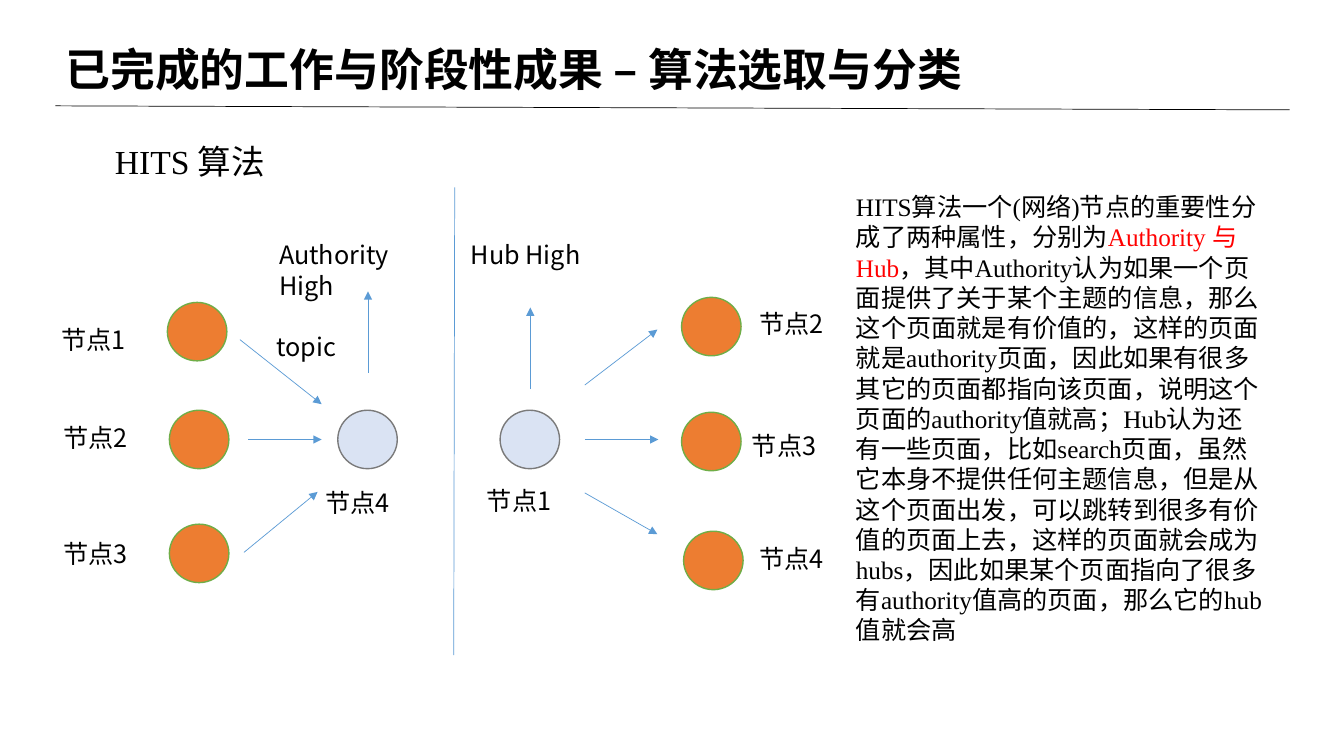
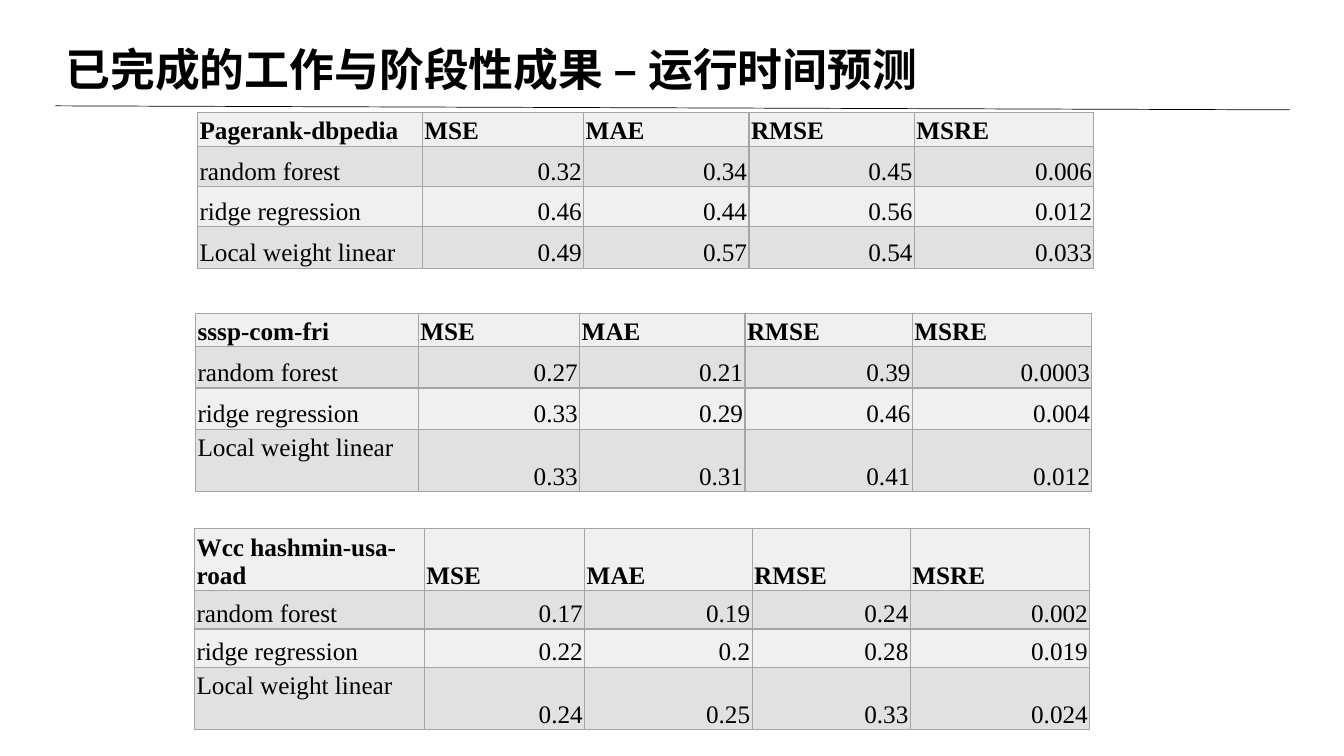
from lxml.etree import SubElement
from pptx import Presentation
from pptx.dml.color import RGBColor
from pptx.enum.shapes import MSO_CONNECTOR, MSO_SHAPE
from pptx.enum.text import MSO_ANCHOR as Anchor, MSO_AUTO_SIZE as AutoSize, PP_ALIGN as Align
from pptx.oxml.ns import qn
from pptx.util import Inches, Pt

BLACK, RED, BLUE = "000000", "FF0000", "5B9BD5"
ORANGE, GREEN, PALE, GRAY = "ED7D31", "70AD47", "DAE3F3", "7A7A7A"
BORDER, BANDS = "A5A5A5", ("F0F0F0", "E1E1E1")
SANS, SERIF = "Noto Sans CJK SC", "Times New Roman"
METRICS = ["MSE", "MAE", "RMSE", "MSRE"]
MODELS = ["random forest", "ridge regression", "Local weight linear"]


def color(value):
    return RGBColor.from_string(value)


class Deck:
    """Holds the shared style and the current slide."""

    def __init__(self):
        self.file = Presentation()
        self.file.slide_width = Inches(13.33)
        self.file.slide_height = Inches(7.5)
        self.page = None

    def add_page(self, title):
        self.page = self.file.slides.add_slide(self.file.slide_layouts[5])
        self.line((0.55, 1.05), (12.79, 1.09), BLACK)
        box = self.page.shapes.title
        box.left, box.top = Inches(0.55), Inches(0.36)
        box.width, box.height = Inches(10.93), Inches(0.64)
        frame = box.text_frame
        frame.auto_size = AutoSize.NONE
        frame.vertical_anchor = Anchor.MIDDLE
        para = frame.paragraphs[0]
        para.alignment = Align.LEFT
        self.span(para, title, 32, SANS, bold=True)

    def span(self, para, text, size, font, ink=BLACK, bold=False):
        span = para.add_run()
        span.text = text
        span.font.size = Pt(size)
        span.font.bold = bold
        span.font.color.rgb = color(ink)
        span.font.name = font
        SubElement(span.font._element, qn("a:ea"), typeface=SANS)

    def text(self, left, top, width, height, spans, size=18, font=SANS):
        box = self.page.shapes.add_textbox(
            Inches(left), Inches(top), Inches(width), Inches(height))
        frame = box.text_frame
        frame.word_wrap = True
        para = frame.paragraphs[0]
        para.line_spacing = Pt(size * 1.2)
        for words, ink in spans:
            self.span(para, words, size, font, ink)

    def label(self, left, top, words, width=0.89):
        self.text(left, top, width, 0.4, [(words, BLACK)])

    def node(self, left, top, fill, edge):
        circle = self.page.shapes.add_shape(
            MSO_SHAPE.OVAL, Inches(left), Inches(top), Inches(0.59), Inches(0.58))
        circle.shadow.inherit = False
        circle.fill.solid()
        circle.fill.fore_color.rgb = color(fill)
        circle.line.color.rgb = color(edge)
        circle.line.width = Pt(1)

    def line(self, start, end, ink=BLUE, arrow=False):
        line = self.page.shapes.add_connector(
            MSO_CONNECTOR.STRAIGHT, *(Inches(value) for value in (*start, *end)))
        line.line.color.rgb = color(ink)
        line.line.width = Pt(0.5)
        if arrow:
            SubElement(line.line._get_or_add_ln(), qn("a:tailEnd"), type="triangle")
        SubElement(line._element.spPr, qn("a:effectLst"))

    def table(self, left, top, widths, heights, rows):
        table = self.page.shapes.add_table(
            len(rows), len(widths), Inches(left), Inches(top),
            Inches(sum(widths)), Inches(sum(heights))).table
        table.first_row = table.horz_banding = False
        for column, width in zip(table.columns, widths):
            column.width = Inches(width)
        for index, (row, height, values) in enumerate(zip(table.rows, heights, rows)):
            row.height = Inches(height)
            for place, (cell, value) in enumerate(zip(row.cells, values)):
                self.cell(cell, value, index, place)
                if index and not place and height > 0.5:
                    cell.vertical_anchor = Anchor.TOP
                    cell.margin_top = Inches(0.05)

    def cell(self, cell, value, index, place):
        cell.margin_left = cell.margin_right = Inches(0.02)
        cell.margin_top = cell.margin_bottom = Inches(0.01)
        cell.vertical_anchor = Anchor.BOTTOM
        para = cell.text_frame.paragraphs[0]
        para.alignment = Align.RIGHT if index and place else Align.LEFT
        self.span(para, value, 18, SERIF, bold=index == 0)
        props = cell._tc.get_or_add_tcPr()
        for side in ("lnL", "lnR", "lnT", "lnB"):
            edge = SubElement(props, qn(f"a:{side}"), w=str(Pt(1)))
            SubElement(SubElement(edge, qn("a:solidFill")), qn("a:srgbClr"), val=BORDER)
        cell.fill.solid()
        cell.fill.fore_color.rgb = color(BANDS[index % 2])


def build_algorithm(deck):
    deck.add_page("已完成的工作与阶段性成果 – 算法选取与分类")
    deck.text(1.04, 1.35, 1.91, 0.5, [("HITS 算法", BLACK)], 24, SERIF)
    for left in (3.35, 4.96):
        deck.node(left, 4.07, PALE, GRAY)
    for left, top in ((1.66, 3), (1.68, 4.07), (1.68, 5.2),
                      (6.76, 2.95), (6.76, 4.09), (6.78, 5.27)):
        deck.node(left, top, ORANGE, GREEN)
    for start, end in (((2.38, 3.37), (3.19, 4.01)), ((2.46, 4.36), (3.19, 4.36)),
                       ((2.42, 5.48), (3.15, 4.88)), ((3.65, 3.7), (3.65, 2.89)),
                       ((5.8, 3.82), (6.52, 3.27)), ((5.8, 4.36), (6.53, 4.36)),
                       ((5.8, 4.89), (6.52, 5.3)), ((5.26, 3.86), (5.26, 3.05))):
        deck.line(start, end, arrow=True)
    deck.line((4.51, 1.86), (4.5, 6.5))
    for left, top, number in ((0.51, 3.17, 1), (0.53, 4.14, 2), (0.53, 5.29, 3),
                              (3.13, 4.79, 4), (4.73, 4.77, 1), (7.43, 3.01, 2),
                              (7.36, 4.22, 3), (7.43, 5.34, 4)):
        deck.label(left, top, f"节点{number}")
    deck.label(2.64, 3.24, "topic")
    deck.label(2.67, 2.33, "Authority High", 1.87)
    deck.label(4.57, 2.33, "Hub High", 1.37)
    deck.text(8.39, 1.85, 4.27, 4.64, [
        ("HITS算法一个(网络)节点的重要性分成了两种属性，分别为", BLACK),
        ("Authority 与 Hub", RED),
        ("，其中Authority认为如果一个页面提供了关于某个主题的信息，"
         "那么这个页面就是有价值的，这样的页面就是authority页面，"
         "因此如果有很多其它的页面都指向该页面，说明这个页面的authority值就高；"
         "Hub认为还有一些页面，比如search页面，虽然它本身不提供任何主题信息，"
         "但是从这个页面出发，可以跳转到很多有价值的页面上去，"
         "这样的页面就会成为hubs，因此如果某个页面指向了很多有authority值高的页面，"
         "那么它的hub值就会高", BLACK)], font=SERIF)


def build_prediction(deck):
    deck.add_page("已完成的工作与阶段性成果 – 运行时间预测")
    results = (
        ("Pagerank-dbpedia", 1.96, 1.12, (2.23, 1.6, 1.64, 1.64, 1.78),
         (0.33, 0.4, 0.4, 0.41),
         ("0.32 0.34 0.45 0.006", "0.46 0.44 0.56 0.012", "0.49 0.57 0.54 0.033")),
        ("sssp-com-fri", 1.94, 3.11, (2.21, 1.6, 1.64, 1.66, 1.78),
         (0.33, 0.41, 0.41, 0.62),
         ("0.27 0.21 0.39 0.0003", "0.33 0.29 0.46 0.004", "0.33 0.31 0.41 0.012")),
        ("Wcc hashmin-usa-road", 1.93, 5.24, (2.28, 1.59, 1.66, 1.57, 1.78),
         (0.62, 0.38, 0.38, 0.62),
         ("0.17 0.19 0.24 0.002", "0.22 0.2 0.28 0.019", "0.24 0.25 0.33 0.024")),
    )
    for name, left, top, widths, heights, scores in results:
        rows = [[name, *METRICS]]
        rows += [[model, *score.split()] for model, score in zip(MODELS, scores)]
        deck.table(left, top, widths, heights, rows)


def main():
    deck = Deck()
    build_algorithm(deck)
    build_prediction(deck)
    deck.file.save("out.pptx")


if __name__ == "__main__":
    main()
